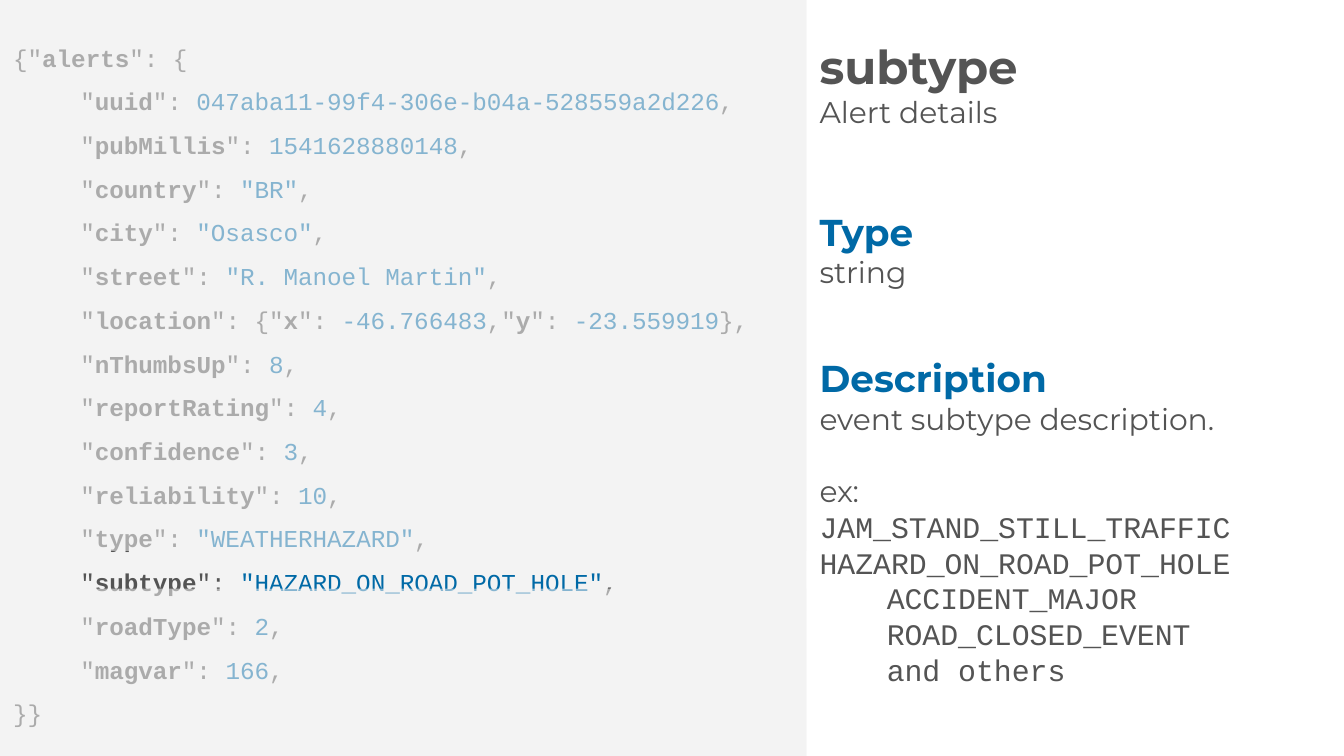
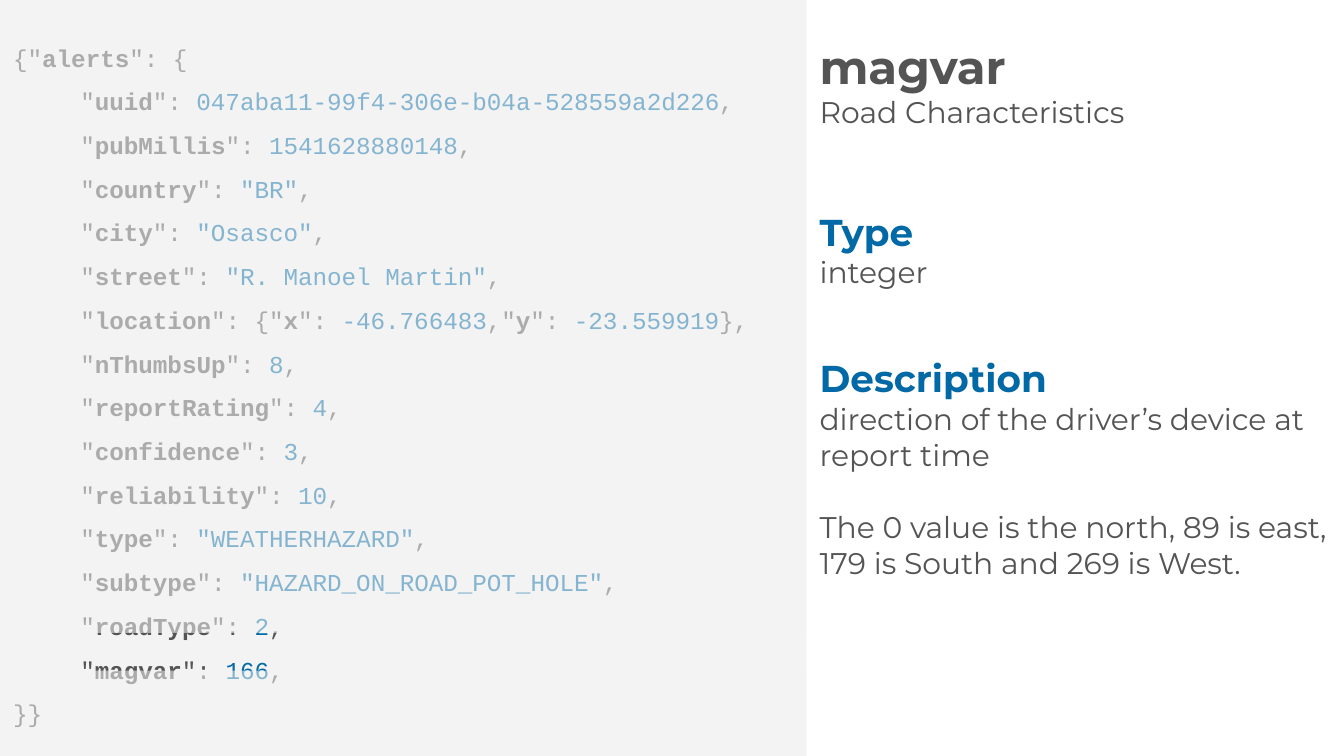
from itertools import cycle

from lxml import etree
from pptx import Presentation
from pptx.dml.color import RGBColor
from pptx.enum.shapes import MSO_SHAPE
from pptx.enum.text import MSO_ANCHOR, PP_ALIGN
from pptx.oxml.ns import qn
from pptx.util import Inches, Pt

RECTANGLE = MSO_SHAPE.RECTANGLE
LEFT = PP_ALIGN.LEFT
TOP, MIDDLE = MSO_ANCHOR.TOP, MSO_ANCHOR.MIDDLE

# Shared look
WIDTH = 10
HEIGHT = WIDTH * 9 / 16
CODE_WIDTH = 0.6 * WIDTH
DETAIL_WIDTH = WIDTH - CODE_WIDTH
VEIL_HEIGHT = 5.05
FOCUS_HEIGHT = 0.28
INDENT = 0.5
BLANK_LINE = 19.5
GREY, BLUE, PANEL = "545454", "0069A6", "F3F3F3"
CODE, SANS = "Courier New", "Montserrat"

# Span styles: font, size, colour, bold
PUNCTUATION = (CODE, 13, GREY, False)
KEY = (CODE, 13, GREY, True)
VALUE = (CODE, 13, BLUE, False)
TITLE = (SANS, 25, GREY, True)
HEADING = (SANS, 20, BLUE, True)
BODY = (SANS, 16, GREY, False)
SAMPLE = (CODE, 16, GREY, False)

# Alert fields in the listing
FIELDS = [
    ("uuid", "047aba11-99f4-306e-b04a-528559a2d226"),
    ("pubMillis", "1541628880148"),
    ("country", '"BR"'),
    ("city", '"Osasco"'),
    ("street", '"R. Manoel Martin"'),
    ("location", None),
    ("nThumbsUp", "8"),
    ("reportRating", "4"),
    ("confidence", "3"),
    ("reliability", "10"),
    ("type", '"WEATHERHAZARD"'),
    ("subtype", '"HAZARD_ON_ROAD_POT_HOLE"'),
    ("roadType", "2"),
    ("magvar", "166"),
]
LOCATION = ['"', "location", '": {"', "", "", "x", '": ', "-46.766483",
            ',"', "y", '": ', "-23.559919", "},"]

# One entry per slide; each description paragraph is (spans, indent, space before)
PAGES = [
    {
        "field": "subtype", "group": "Alert details", "type": "string", "focus": 4.1,
        "description": [
            ([("event subtype description.", BODY)], 0, 0),
            ([("ex:", BODY), ("\v", SAMPLE), ("JAM_STAND_STILL_TRAFFIC", SAMPLE),
              ("\v", SAMPLE), ("HAZARD_ON_ROAD_POT_HOLE", SAMPLE)], 0, BLANK_LINE),
            ([("ACCIDENT_MAJOR", SAMPLE)], INDENT, 0),
            ([("ROAD_CLOSED_EVENT", SAMPLE)], INDENT, 0),
            ([("and others", SAMPLE)], INDENT, 0),
        ],
    },
    {
        "field": "magvar", "group": "Road Characteristics", "type": "integer", "focus": 4.71,
        "description": [
            ([("direction of the driver’s device at report time", BODY)], 0, 0),
            ([("The 0 value is the north, 89 is east, 179 is South and 269 is West.", BODY)],
             0, BLANK_LINE),
        ],
    },
]


def color(value):
    return RGBColor.from_string(value)


def write_paragraph(frame, spans, indent=0, before=0, spacing=1.0):
    first = frame.paragraphs[0]
    para = frame.add_paragraph() if first.runs else first
    para.alignment = LEFT
    para.line_spacing = spacing
    para.space_before = Pt(before)
    if indent:
        para._p.get_or_add_pPr().set("marL", str(Inches(indent)))
    for text, (font, size, shade, bold) in spans:
        if text == "\v":
            para.add_line_break()
        elif text:
            span = para.add_run()
            span.text = text
            span.font.name = font
            span.font.size = Pt(size)
            span.font.bold = bold
            span.font.color.rgb = color(shade)


deck = Presentation()
deck.slide_width, deck.slide_height = Inches(WIDTH), Inches(HEIGHT)

for content in PAGES:
    page = deck.slides.add_slide(deck.slide_layouts[6])

    # Code panel, then veils above and below the focused line
    focus = content["focus"]
    panels = []
    for top, height, opacity in [(0, HEIGHT, 100),
                                 (focus - VEIL_HEIGHT, VEIL_HEIGHT, 55),
                                 (focus + FOCUS_HEIGHT, VEIL_HEIGHT, 55)]:
        panel = page.shapes.add_shape(RECTANGLE, 0, Inches(top),
                                      Inches(CODE_WIDTH), Inches(height))
        panel.shadow.inherit = False
        panel.line.fill.background()
        panel.fill.solid()
        panel.fill.fore_color.rgb = color(PANEL)
        if opacity < 100:
            shade = panel.fill._xPr.find(qn("a:solidFill"))[0]
            etree.SubElement(shade, qn("a:alpha")).set("val", str(opacity * 1000))
        panels.append(panel)

    # Code listing
    code = panels[0].text_frame
    code.word_wrap = True
    code.vertical_anchor = MIDDLE
    code.margin_left = code.margin_right = code.margin_top = code.margin_bottom = Inches(0.1)
    write_paragraph(code, [('{"', PUNCTUATION), ("alerts", KEY), ('": {', PUNCTUATION)],
                    spacing=1.5)
    for name, value in FIELDS:
        parts = ['"', name, '": ', value, ","] if value else LOCATION
        styles = cycle([PUNCTUATION, KEY, PUNCTUATION, VALUE])
        write_paragraph(code, zip(parts, styles), INDENT, spacing=1.5)
    write_paragraph(code, [("}}", PUNCTUATION)], spacing=1.5)

    # Field details: top, width, height, anchor, paragraphs
    details = [
        (0.16, DETAIL_WIDTH, 0.92, MIDDLE,
         [([(content["field"], TITLE)], 0, 0), ([(content["group"], BODY)], 0, 0)]),
        (1.46, 1.93, 0.5, TOP, [([("Type", HEADING)], 0, 0)]),
        (1.79, 3.6, 0.87, TOP, [([(content["type"], BODY)], 0, 0)]),
        (2.54, 1.93, 0.5, TOP, [([("Description", HEADING)], 0, 0)]),
        (2.88, DETAIL_WIDTH, 0.87, TOP, content["description"]),
    ]
    for top, width, height, anchor, paragraphs in details:
        box = page.shapes.add_textbox(Inches(CODE_WIDTH), Inches(top),
                                      Inches(width), Inches(height))
        frame = box.text_frame
        frame.word_wrap = True
        frame.vertical_anchor = anchor
        frame.margin_left = frame.margin_right = Inches(0.1)
        frame.margin_top = frame.margin_bottom = Inches(0.1)
        for spans, indent, before in paragraphs:
            write_paragraph(frame, spans, indent, before)

deck.save("out.pptx")
